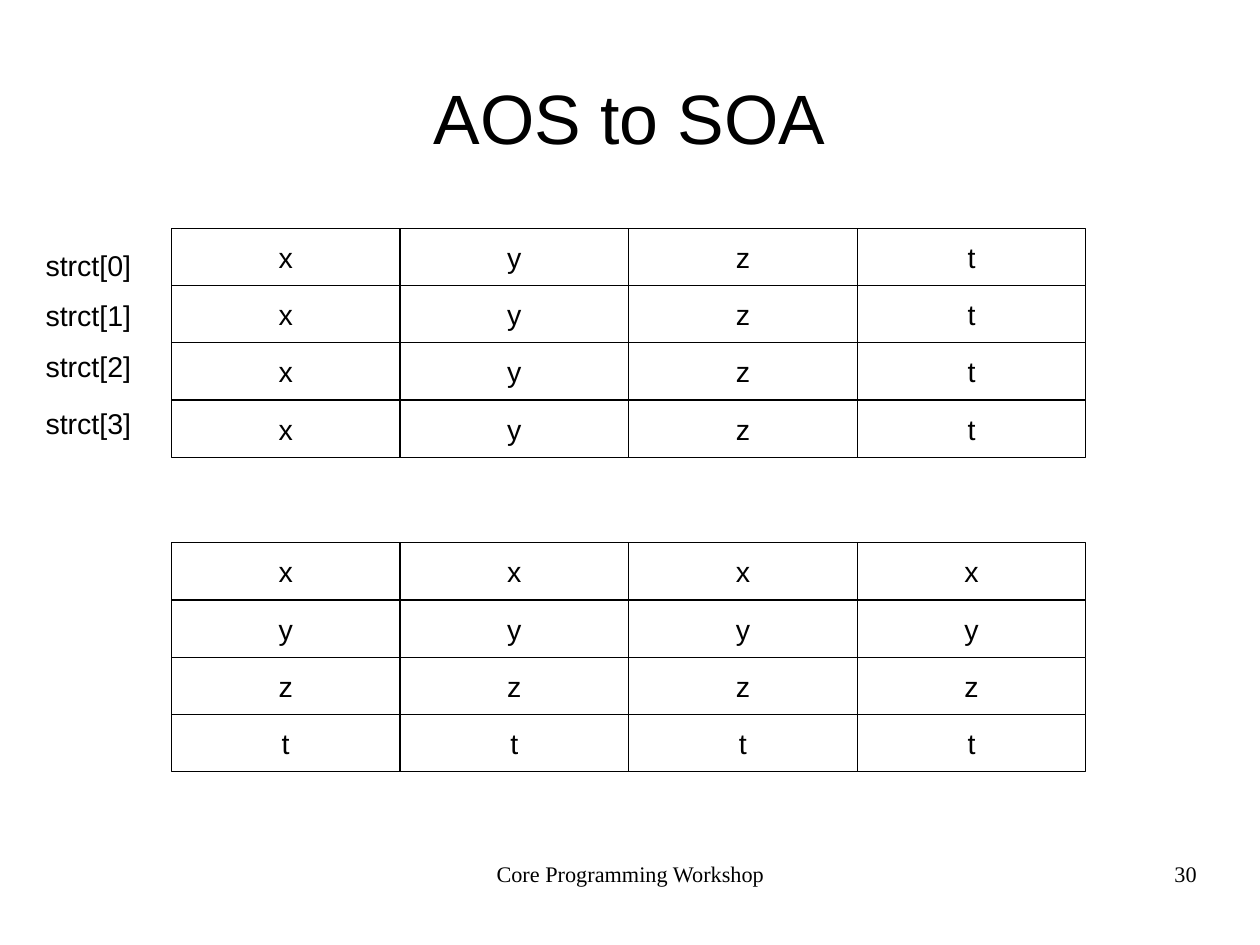
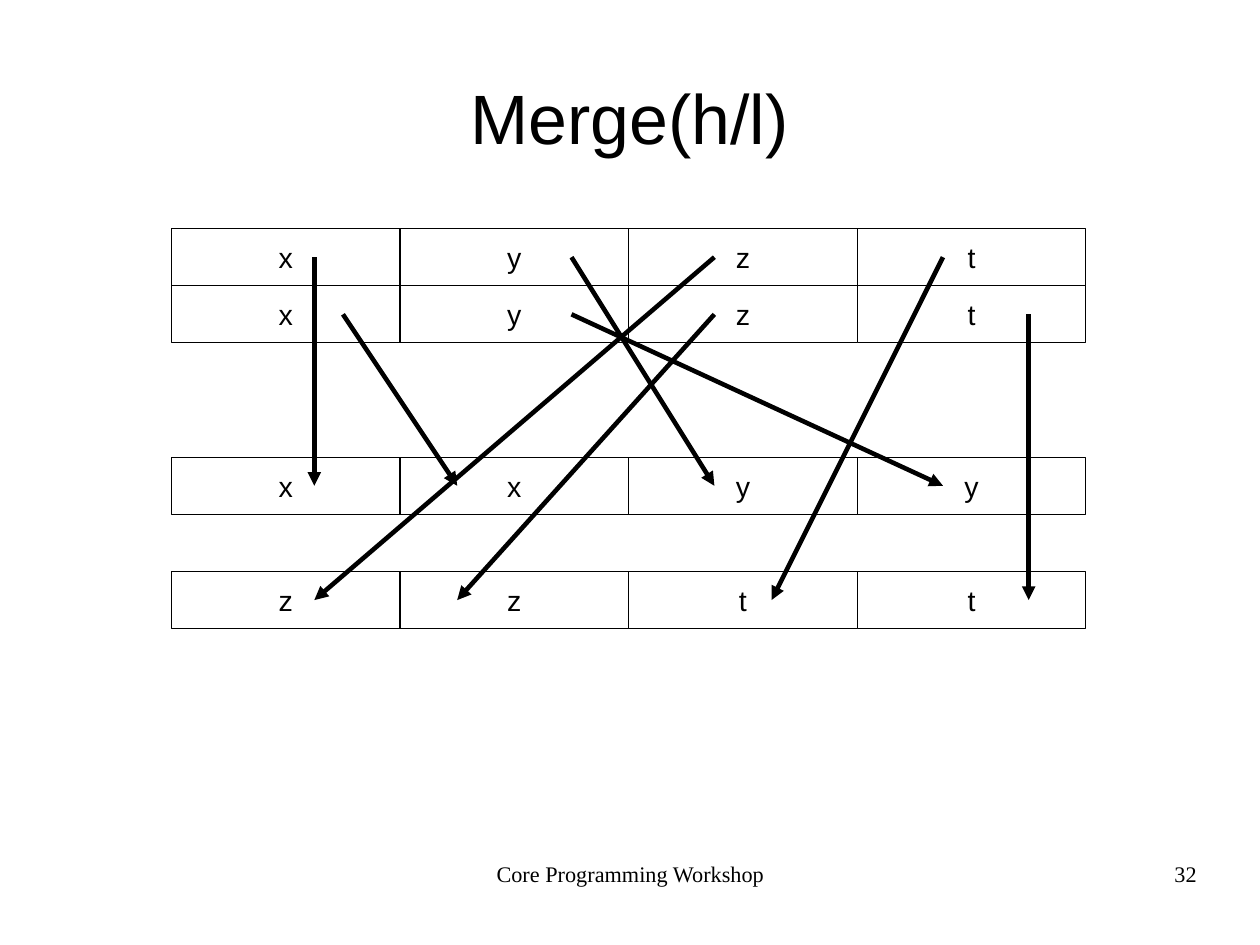
import pptx
import pptx.util
import pptx.dml.color
import pptx.enum.shapes
import pptx.enum.text
import pptx.oxml.ns
from lxml import etree

Inches = pptx.util.Inches
Pt = pptx.util.Pt
ALIGN = pptx.enum.text.PP_ALIGN
ANCHOR = pptx.enum.text.MSO_ANCHOR

# Shared style
BLACK, WHITE = "000000", "FFFFFF"
SANS, SERIF = "Arial", "Times New Roman"
FOOTER = "Core Programming Workshop"
GRID_LEFT, CELL_WIDTH, CELL_HEIGHT = 1.5, 2, 0.5

# Content: each grid is its top and its rows, one letter per cell
SLIDES = [
    {
        "title": "AOS to SOA",
        "number": "30",
        "grids": [(2, ["xyzt"] * 4), (4.75, ["xxxx", "yyyy", "zzzz", "tttt"])],
        "labels": [("strct[0]", 2.12), ("strct[1]", 2.56),
                   ("strct[2]", 3), ("strct[3]", 3.5)],
        "arrows": [],
    },
    {
        "title": "Merge(h/l)",
        "number": "32",
        "grids": [(2, ["xyzt"] * 2), (4, ["xxyy"]), (5, ["zztt"])],
        "labels": [],
        "arrows": [
            ((2.75, 2.25), (2.75, 4.25)), ((3, 2.75), (4, 4.25)),
            ((5, 2.25), (6.25, 4.25)), ((5, 2.75), (8.25, 4.25)),
            ((6.25, 2.25), (2.75, 5.25)), ((6.25, 2.75), (4, 5.25)),
            ((8.25, 2.25), (6.75, 5.25)), ((9, 2.75), (9, 5.25)),
        ],
    },
]


def color(hex_string):
    return pptx.dml.color.RGBColor.from_string(hex_string)


def write(shape, text, size, font=SANS, align=ALIGN.CENTER,
          anchor=ANCHOR.MIDDLE, margins=(0, 0), wrap=True):
    frame = shape.text_frame
    frame.text = text
    frame.auto_size = pptx.enum.text.MSO_AUTO_SIZE.NONE
    frame.word_wrap = wrap
    frame.vertical_anchor = anchor
    frame.margin_left = frame.margin_right = Inches(margins[0])
    frame.margin_top = frame.margin_bottom = Inches(margins[1])
    paragraph = frame.paragraphs[0]
    paragraph.alignment = align
    run = paragraph.runs[0]
    run.font.size = Pt(size)
    run.font.name = font
    run.font.color.rgb = color(BLACK)


def add_text(slide, box, text, size, **style):
    shape = slide.shapes.add_textbox(*map(Inches, box))
    write(shape, text, size, anchor=ANCHOR.TOP, **style)


def add_cell(slide, left, top, text):
    shape = slide.shapes.add_shape(
        pptx.enum.shapes.MSO_SHAPE.RECTANGLE, Inches(left), Inches(top),
        Inches(CELL_WIDTH), Inches(CELL_HEIGHT))
    shape.shadow.inherit = False
    shape.fill.solid()
    shape.fill.fore_color.rgb = color(WHITE)
    shape.line.color.rgb = color(BLACK)
    shape.line.width = Pt(0.71)
    write(shape, text, 18, margins=(0.08, 0.03))


def add_grid(slide, top, rows):
    for row, letters in enumerate(rows):
        for column, letter in enumerate(letters):
            add_cell(slide, GRID_LEFT + column * CELL_WIDTH,
                     top + row * CELL_HEIGHT, letter)


def add_arrow(slide, start, end):
    connector = slide.shapes.add_connector(
        pptx.enum.shapes.MSO_CONNECTOR.STRAIGHT, *map(Inches, start + end))
    connector.line.color.rgb = color(BLACK)
    connector.line.width = Pt(2.89)
    qn = pptx.oxml.ns.qn
    properties = connector._element.spPr
    etree.SubElement(properties.find(qn("a:ln")), qn("a:tailEnd"), type="triangle")
    etree.SubElement(properties, qn("a:effectLst"))


def add_frame(presentation, title, number):
    """Add a slide with the shared title and footer."""
    slide = presentation.slides.add_slide(presentation.slide_layouts[5])
    shape = slide.shapes.title
    shape.left, shape.top = Inches(0.55), Inches(0.38)
    shape.width, shape.height = Inches(9.92), Inches(1.28)
    write(shape, title, 44)
    add_text(slide, (3.77, 7.53, 3.49, 0.57), FOOTER, 14, font=SERIF)
    add_text(slide, (7.9, 7.53, 2.57, 0.57), number, 14, font=SERIF,
             align=ALIGN.RIGHT)
    return slide


def main():
    presentation = pptx.Presentation()
    presentation.slide_width = pptx.util.Cm(28)
    presentation.slide_height = pptx.util.Cm(21)
    for content in SLIDES:
        slide = add_frame(presentation, content["title"], content["number"])
        for top, rows in content["grids"]:
            add_grid(slide, top, rows)
        for text, top in content["labels"]:
            add_text(slide, (0.3, top, 0.95, 0.38), text, 18,
                     align=ALIGN.LEFT, margins=(0.1, 0.05), wrap=False)
        for start, end in content["arrows"]:
            add_arrow(slide, start, end)
    presentation.save("out.pptx")


if __name__ == "__main__":
    main()
